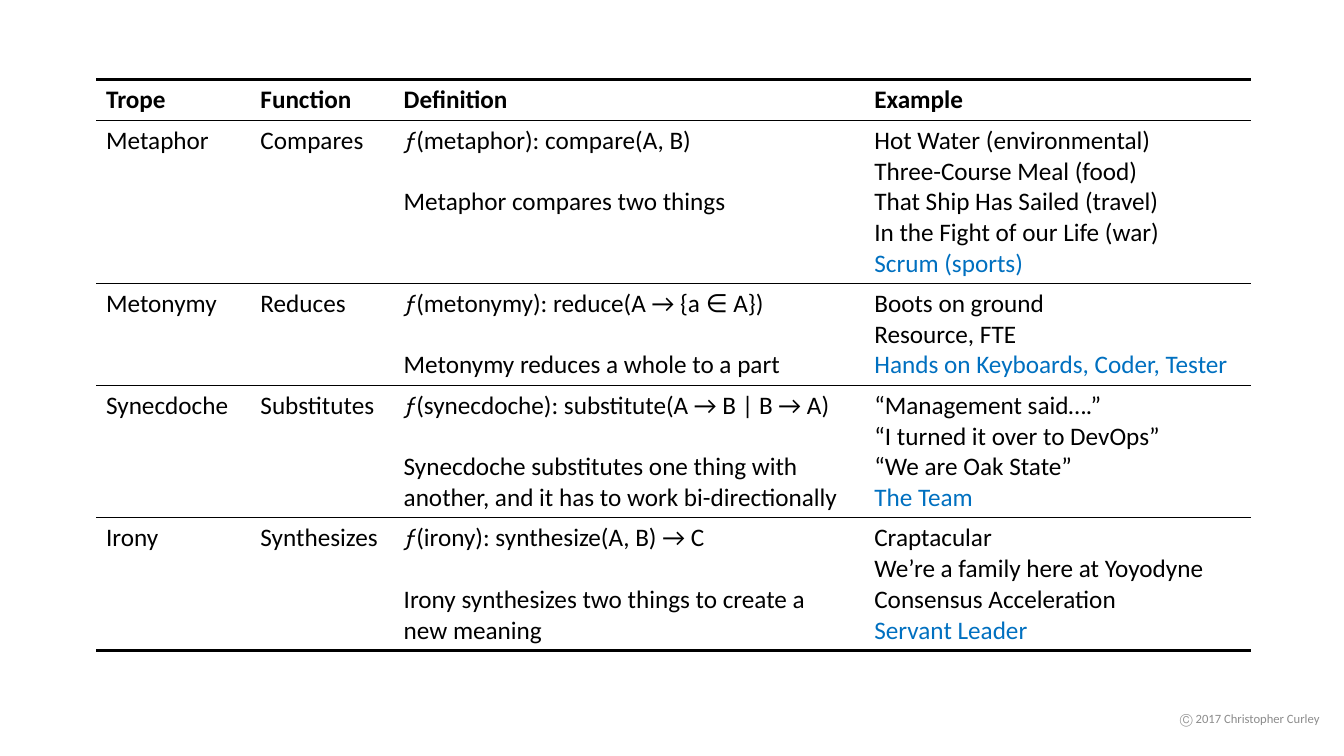
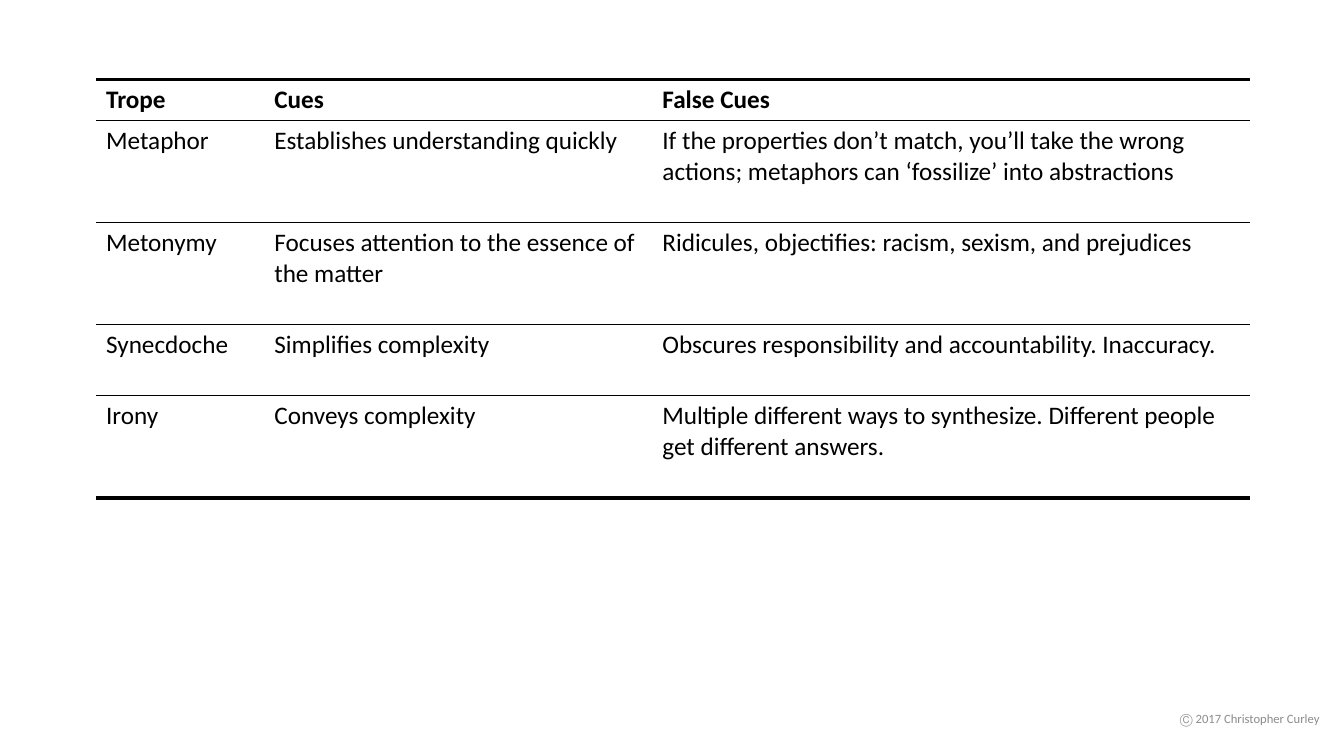
"""Build two slides of ruled tables on the four tropes."""
import pptx
import pptx.dml.color
import pptx.enum.text
import pptx.oxml
import pptx.oxml.ns
import pptx.util
from pptx.util import Cm, Pt

FOOTER = "Ⓒ 2017 Christopher Curley"

TABLES = [
    {
        "columns": [("Trope", 3.89, "plain"), ("Function", 3.61, "plain"),
                    ("Definition", 11.86, "definition"), ("Example", 9.75, "example")],
        "row_lines": [1, 5, 3, 4, 4],
        "rows": [
            (["Metaphor"], ["Compares"],
             ["ƒ(metaphor): compare(A, B)", "Metaphor compares two things"],
             ["Hot Water (environmental)", "Three-Course Meal (food)",
              "That Ship Has Sailed (travel)", "In the Fight of our Life (war)",
              "Scrum (sports)"]),
            (["Metonymy"], ["Reduces"],
             ["ƒ(metonymy): reduce(A → {a ∈ A})", "Metonymy reduces a whole to a part"],
             ["Boots on ground", "Resource, FTE", "Hands on Keyboards, Coder, Tester"]),
            (["Synecdoche"], ["Substitutes"],
             ["ƒ(synecdoche): substitute(A → B | B → A)",
              "Synecdoche substitutes one thing with another, "
              "and it has to work bi-directionally"],
             ["“Management said….”", "“I turned it over to DevOps”",
              "“We are Oak State”", "The Team"]),
            (["Irony"], ["Synthesizes"],
             ["ƒ(irony): synthesize(A, B) → C",
              "Irony synthesizes two things to create a new meaning"],
             ["Craptacular", "We’re a family here at Yoyodyne",
              "Consensus Acceleration", "Servant Leader"]),
        ],
    },
    {
        "columns": [("Trope", 4.24, "plain"), ("Cues", 9.78, "plain"),
                    ("False Cues", 15.06, "plain")],
        "row_lines": [1, 3, 3, 2, 3],
        "rows": [
            (["Metaphor"], ["Establishes understanding quickly"],
             ["If the properties don’t match, you’ll take the wrong actions; "
              "metaphors can ‘fossilize’ into abstractions"]),
            (["Metonymy"], ["Focuses attention to the essence of the matter"],
             ["Ridicules, objectifies: racism, sexism, and prejudices"]),
            (["Synecdoche"], ["Simplifies complexity"],
             ["Obscures responsibility and accountability. Inaccuracy."]),
            (["Irony"], ["Conveys complexity"],
             ["Multiple different ways to synthesize. "
              "Different people get different answers."]),
        ],
    },
]

THEME = {
    "ink": "000000",
    "accent": "0070C0",
    "muted": "8C8C8C",
    "body": {"name": "Calibri", "size": Pt(18)},
    "footer": {"name": "Calibri", "size": Pt(9)},
    "gloss_gap": Pt(22),
    "thin": Pt(1),
    "thick": Pt(3),
}

TABLE_LEFT, TABLE_TOP = Cm(2.42), Cm(2)
LINE_HEIGHT, ROW_PADDING = Cm(0.77), Cm(0.26)
FOOTER_BOX = (Cm(29.44), Cm(17.6), Cm(4.11), Cm(1.02))


def add_span(para, text, colour, **font_values):
    """Add one formatted run."""
    span = para.add_run()
    span.text = text
    for name, value in font_values.items():
        setattr(span.font, name, value)
    span.font.color.rgb = pptx.dml.color.RGBColor.from_string(colour)


def rule_cell(cell, top, bottom):
    """Draw horizontal rules only, on an unfilled cell."""
    cell.fill.background()
    properties = cell._tc.get_or_add_tcPr()
    edges = {"lnL": None, "lnR": None, "lnT": top, "lnB": bottom}
    for index, (edge, width) in enumerate(edges.items()):
        size = f' w="{width}"' if width else ""
        paint = (f'<a:solidFill><a:srgbClr val="{THEME["ink"]}"/></a:solidFill>'
                 if width else "<a:noFill/>")
        line = pptx.oxml.parse_xml(
            f'<a:{edge} {pptx.oxml.ns.nsdecls("a")}{size}>{paint}</a:{edge}>')
        properties.insert(index, line)


def fill_cell(cell, lines, kind):
    """Write the lines of a cell in the style of its column kind."""
    frame = cell.text_frame
    for index, text in enumerate(lines):
        para = frame.paragraphs[0] if index == 0 else frame.add_paragraph()
        is_last = index == len(lines) - 1
        colour = THEME["accent"] if kind == "example" and is_last else THEME["ink"]
        if kind == "definition" and index == 0:
            add_span(para, text[0], colour, italic=True, **THEME["body"])
            text = text[1:]
        elif kind == "definition":
            para.space_before = THEME["gloss_gap"]
        add_span(para, text, colour, bold=kind == "header", **THEME["body"])


def add_trope_table(page, content):
    """Add a ruled table whose rows are sized by their line counts."""
    columns = content["columns"]
    widths = [Cm(width) for _, width, _ in columns]
    heights = [ROW_PADDING + count * LINE_HEIGHT for count in content["row_lines"]]
    table = page.shapes.add_table(len(heights), len(widths), TABLE_LEFT, TABLE_TOP,
                                  sum(widths), sum(heights)).table
    for name in ("first_row", "horz_banding"):
        setattr(table, name, False)
    for column, width in zip(table.columns, widths):
        column.width = width
    for row, height in zip(table.rows, heights):
        row.height = height

    header = [[title] for title, _, _ in columns]
    last = len(heights) - 1
    for row_index, row in enumerate([header, *content["rows"]]):
        top = THEME["thick" if row_index == 0 else "thin"]
        bottom = THEME["thick" if row_index == last else "thin"]
        for column_index, lines in enumerate(row):
            kind = columns[column_index][2] if row_index else "header"
            cell = table.cell(row_index, column_index)
            fill_cell(cell, lines, kind)
            rule_cell(cell, top, bottom)


def add_footer(page):
    """Add the shared copyright line."""
    frame = page.shapes.add_textbox(*FOOTER_BOX).text_frame
    settings = {"word_wrap": True,
                "vertical_anchor": pptx.enum.text.MSO_ANCHOR.MIDDLE}
    for name, value in settings.items():
        setattr(frame, name, value)
    para = frame.paragraphs[0]
    para.alignment = pptx.enum.text.PP_ALIGN.CENTER
    add_span(para, FOOTER, THEME["muted"], **THEME["footer"])


def main():
    """Build and save the deck."""
    deck = pptx.Presentation()
    deck.slide_width, deck.slide_height = Cm(33.87), Cm(19.05)
    for content in TABLES:
        page = deck.slides.add_slide(deck.slide_layouts[6])
        add_footer(page)
        add_trope_table(page, content)
    deck.save("out.pptx")


if __name__ == "__main__":
    main()
